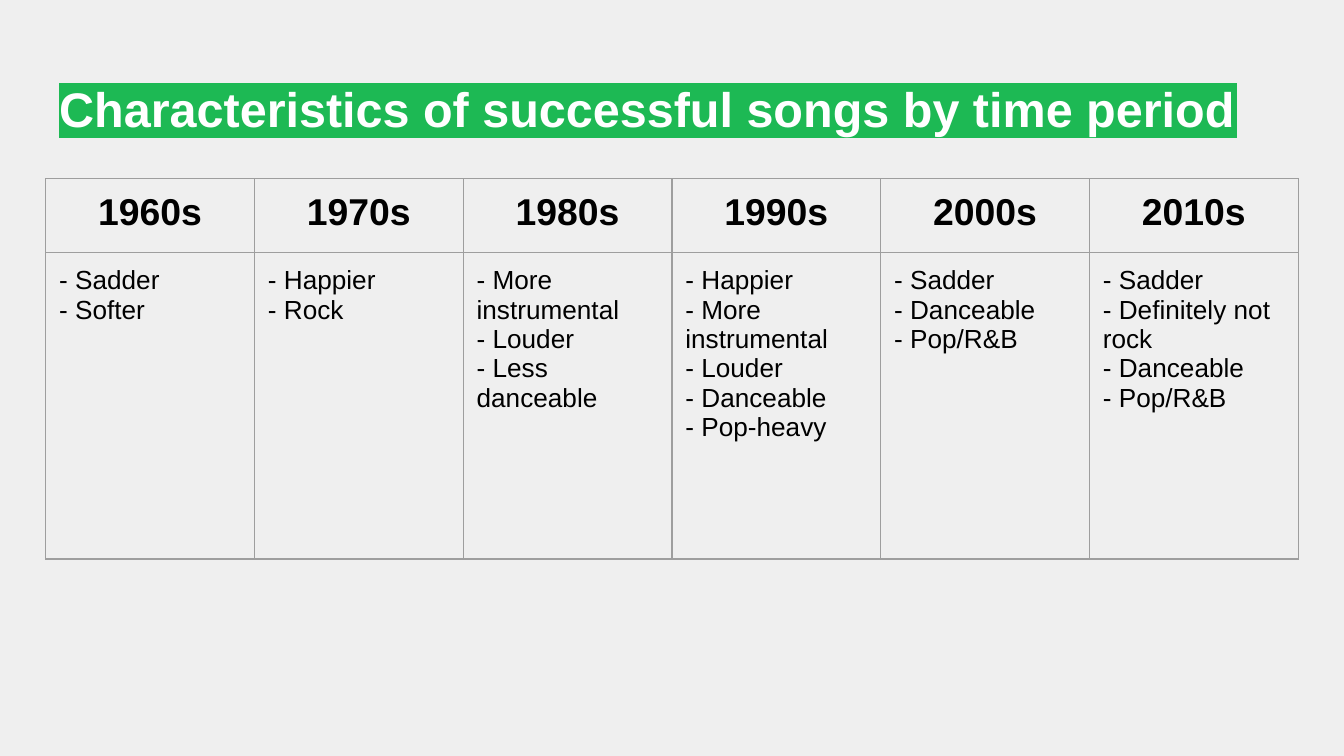
from dataclasses import dataclass

from lxml import etree
from pptx import Presentation
from pptx import util as u
from pptx.dml.color import RGBColor
from pptx.enum import text
from pptx.oxml.ns import qn

# Content
TITLE = "Characteristics of successful songs by time period"
ERAS = {
    "1960s": ["Sadder", "Softer"],
    "1970s": ["Happier", "Rock"],
    "1980s": ["More instrumental", "Louder", "Less danceable"],
    "1990s": ["Happier", "More instrumental", "Louder", "Danceable", "Pop-heavy"],
    "2000s": ["Sadder", "Danceable", "Pop/R&B"],
    "2010s": ["Sadder", "Definitely not rock", "Danceable", "Pop/R&B"],
}


@dataclass(frozen=True)
class Theme:
    font: str = "Arial"
    back: str = "EFEFEF"
    ink: str = "000000"
    white: str = "FFFFFF"
    green: str = "1DB954"
    line: str = "9E9E9E"
    title: int = 26
    head: int = 20
    body: int = 14


T = Theme()

# Layout in inches, on a 16:9 slide
WIDE = 10
HIGH = WIDE * 9 / 16
LEFT = 0.34
SPAN = WIDE - 2 * LEFT
ROWS = (0.55, 2.28)
PAD = u.Inches(0.1)


def add_run(para, words, size, color, bold=False):
    run = para.add_run()
    run.text = words
    font = run.font
    font.name, font.size, font.bold = T.font, u.Pt(size), bold
    font.color.rgb = RGBColor.from_string(color)
    return run


def mark(run, color):
    """Highlight a run; the element follows its fill."""
    props = run.font._element
    light = etree.Element(qn("a:highlight"))
    etree.SubElement(light, qn("a:srgbClr"), val=color)
    props.find(qn("a:solidFill")).addnext(light)


def pad(box):
    box.margin_left = box.margin_right = PAD
    box.margin_top = box.margin_bottom = PAD


def edge(cell):
    """Draw all four borders, placed before the cell fill."""
    props = cell._tc.get_or_add_tcPr()
    for i, side in enumerate(("lnL", "lnR", "lnT", "lnB")):
        line = etree.Element(qn(f"a:{side}"), w=str(u.Pt(0.75)))
        fill = etree.SubElement(line, qn("a:solidFill"))
        etree.SubElement(fill, qn("a:srgbClr"), val=T.line)
        props.insert(i, line)


def fill_cell(cell, lines, size, bold=False, align=text.PP_ALIGN.LEFT):
    pad(cell)
    cell.fill.background()
    edge(cell)
    frame = cell.text_frame
    for i, words in enumerate(lines):
        para = frame.add_paragraph() if i else frame.paragraphs[0]
        para.alignment = align
        add_run(para, words, size, T.ink, bold)


def add_title(slide):
    title = slide.shapes.title
    title.left, title.top = u.Inches(LEFT), u.Inches(0.49)
    title.width, title.height = u.Inches(SPAN), u.Inches(0.63)
    frame = title.text_frame
    pad(frame)
    frame.word_wrap = True
    frame.auto_size = text.MSO_AUTO_SIZE.NONE
    frame.vertical_anchor = text.MSO_ANCHOR.BOTTOM
    para = frame.paragraphs[0]
    para.alignment = text.PP_ALIGN.LEFT
    mark(add_run(para, TITLE, T.title, T.white, True), T.green)


def add_eras(slide):
    grid = slide.shapes.add_table(
        len(ROWS), len(ERAS), u.Inches(LEFT), u.Inches(1.33),
        u.Inches(SPAN), u.Inches(sum(ROWS))).table
    grid.horz_banding = False
    for row, high in zip(grid.rows, ROWS):
        row.height = u.Inches(high)
    for i, (era, traits) in enumerate(ERAS.items()):
        grid.columns[i].width = u.Inches(SPAN / len(ERAS))
        fill_cell(grid.cell(0, i), [era], T.head, True, text.PP_ALIGN.CENTER)
        fill_cell(grid.cell(1, i), [f"- {t}" for t in traits], T.body)


def main():
    deck = Presentation()
    deck.slide_width, deck.slide_height = u.Inches(WIDE), u.Inches(HIGH)
    slide = deck.slides.add_slide(deck.slide_layouts[5])
    back = slide.background.fill
    back.solid()
    back.fore_color.rgb = RGBColor.from_string(T.back)
    add_title(slide)
    add_eras(slide)
    deck.save("out.pptx")


if __name__ == "__main__":
    main()
